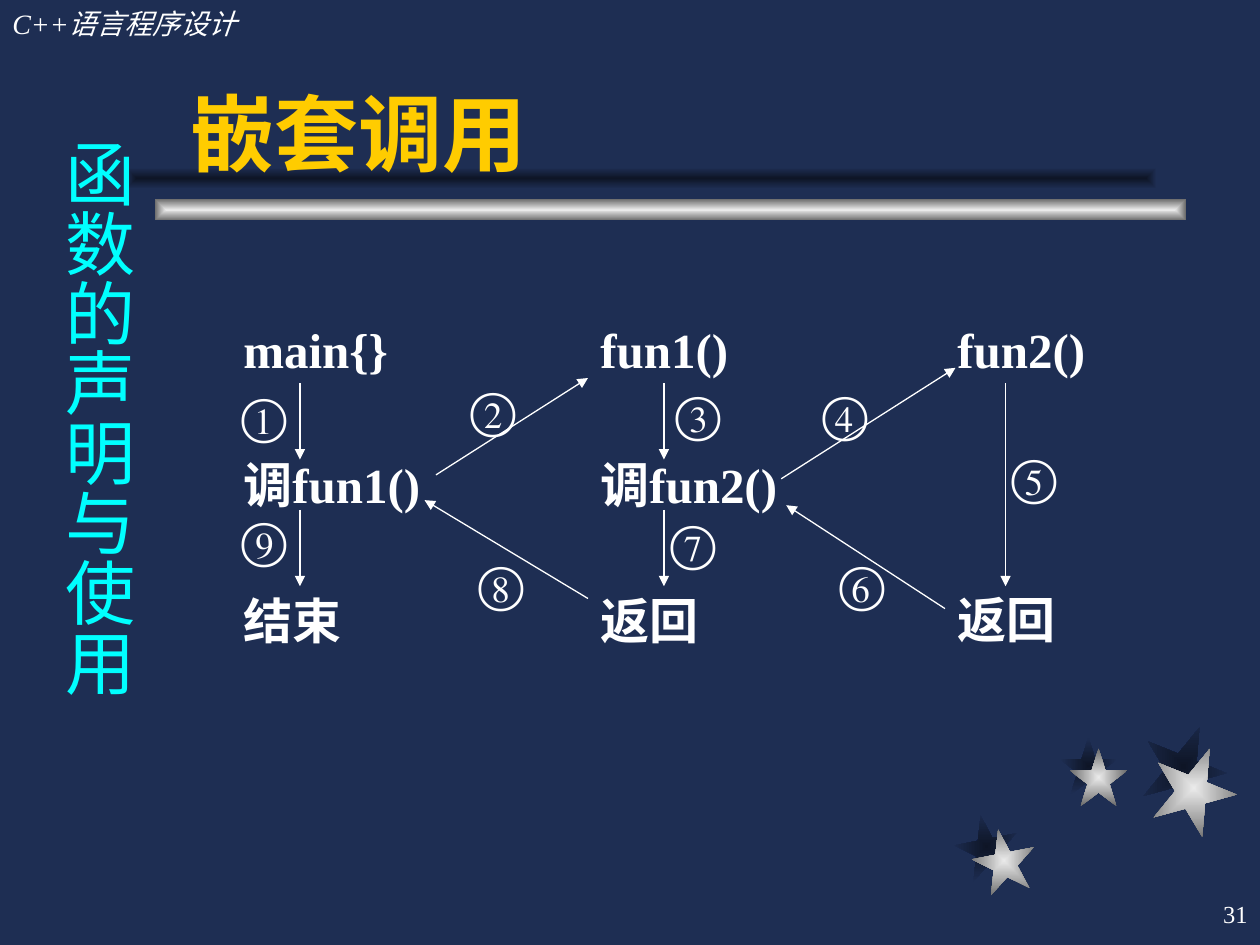
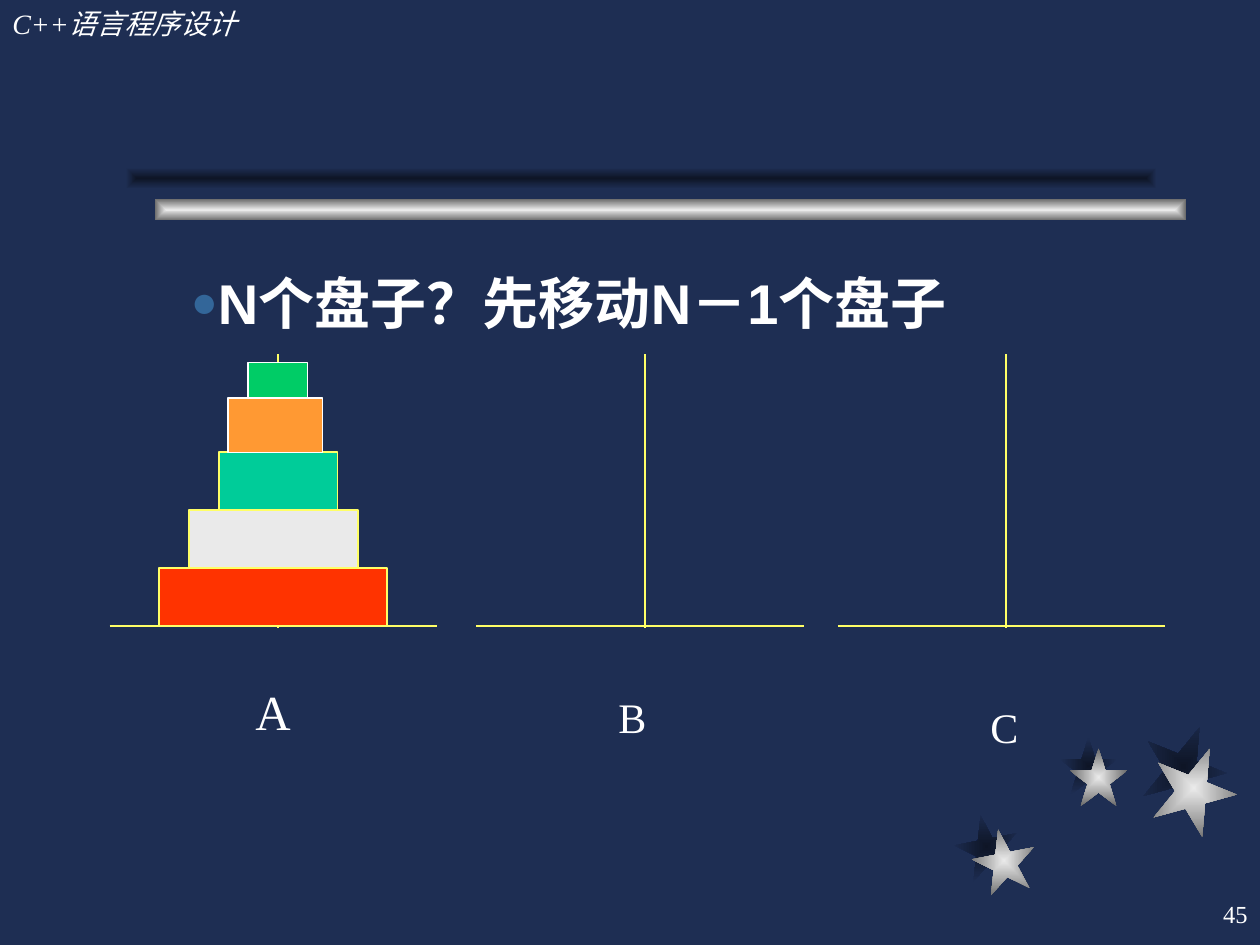
import pptx
import pptx.util
import pptx.dml.color
import pptx.enum.shapes
import pptx.enum.text
import pptx.oxml
import pptx.oxml.ns
import pptx.oxml.xmlchemy

Pt = pptx.util.Pt
RGB = pptx.dml.color.RGBColor
SHAPE = pptx.enum.shapes.MSO_SHAPE
LINK = pptx.enum.shapes.MSO_CONNECTOR
ANCHOR = pptx.enum.text.MSO_ANCHOR
ALIGN = pptx.enum.text.PP_ALIGN
qn = pptx.oxml.ns.qn

NAVY = RGB(0x1E, 0x2E, 0x53)
DARK = RGB(0x0E, 0x15, 0x26)
SILVER = RGB(0xEA, 0xEA, 0xEA)
GREY = RGB(0x6C, 0x6C, 0x6C)
WHITE = RGB(0xFF, 0xFF, 0xFF)
GOLD = RGB(0xFF, 0xCC, 0x00)
CYAN = RGB(0x00, 0xFF, 0xFF)
YELLOW = RGB(0xFF, 0xFF, 0x66)
RED = RGB(0xFF, 0x33, 0x00)
TEAL = RGB(0x00, 0xCC, 0x99)
ORANGE = RGB(0xFF, 0x99, 0x33)
GREEN = RGB(0x00, 0xCC, 0x66)

SHADE = (DARK, NAVY)
METAL = (SILVER, GREY)
SERIF, SANS = "Times New Roman", "Arial"
INSET = (7.2, 3.6, 7.2, 3.6)
SIDES = ("margin_left", "margin_top", "margin_right", "margin_bottom")
STEP = 38.6  # line pitch of the call chart


def put(target, values):
    for name, value in values.items():
        setattr(target, name, value)


def node(tag, **values):
    item = pptx.oxml.xmlchemy.OxmlElement(tag)
    for name, value in values.items():
        item.set(name, str(value))
    return item


class Deck:
    """Holds the shared style and the slide being filled."""

    def __init__(self):
        self.file = pptx.Presentation()
        put(self.file, {"slide_width": Pt(720), "slide_height": Pt(540)})
        self.slide = None

    def start(self, number):
        """Adds a slide with its stars, bars, course name and number."""
        self.slide = self.file.slides.add_slide(self.file.slide_layouts[6])
        fill = self.slide.background.fill
        fill.solid()
        fill.fore_color.rgb = NAVY
        stars = [(SHADE, 545.8, 465.8, 36, -11), (SHADE, 605.5, 421.2, 33, 0),
                 (SHADE, 652.3, 414, 48.2, 22), (METAL, 555.8, 473.8, 36, -11),
                 (METAL, 611.3, 427.7, 33, 0), (METAL, 658.1, 426.2, 48.2, 22)]
        for tones, left, top, size, turn in stars:
            star = self.shape(SHAPE.STAR_5_POINT, (left, top, size, size))
            star.rotation = turn
            self.glow(star, tones)
        for tones, left, top in [(METAL, 88.6, 113.8), (SHADE, 72, 95.8)]:
            self.glow(self.shape(SHAPE.RECTANGLE, (left, top, 589, 12.2)), tones)
        self.text((0, 0, 222, 27), "C++语言程序设计", 16, italic=True)
        self.text((570, 504, 150, 36), str(number), 14,
                  align=ALIGN.RIGHT, anchor=ANCHOR.MIDDLE)

    def shape(self, kind, box):
        item = self.slide.shapes.add_shape(kind, *map(Pt, box))
        item.shadow.inherit = False
        item.line.fill.background()
        return item

    def glow(self, item, tones):
        """Fills a shape from its centre out with two colours."""
        item.fill.gradient()
        for stop, tone in zip(item.fill.gradient_stops, tones):
            stop.color.rgb = tone
        grad = item.element.spPr.find(qn("a:gradFill"))
        route = node("a:path", path="rect")
        route.append(node("a:fillToRect", l=50000, t=50000, r=50000, b=50000))
        grad.replace(grad.find(qn("a:lin")), route)

    def block(self, box, fill, edge, weight):
        item = self.shape(SHAPE.RECTANGLE, box)
        item.fill.solid()
        item.fill.fore_color.rgb = fill
        item.line.color.rgb = edge
        item.line.width = Pt(weight)

    def line(self, ends, color, weight, arrow=False):
        item = self.slide.shapes.add_connector(LINK.STRAIGHT, *map(Pt, ends))
        item.line.color.rgb = color
        item.line.width = Pt(weight)
        item.element.spPr.append(node("a:effectLst"))
        if arrow:
            item.line._get_or_add_ln().append(node("a:tailEnd", type="triangle"))

    def text(self, box, words, size, color=WHITE, font=SERIF, align=ALIGN.LEFT,
             anchor=ANCHOR.TOP, inset=INSET, gaps=(0,), pitch=None,
             bullet=None, **look):
        """Writes one paragraph per line; gaps holds the space before each."""
        frame = self.slide.shapes.add_textbox(*map(Pt, box)).text_frame
        put(frame, {"text": words, "word_wrap": True, "vertical_anchor": anchor})
        put(frame, dict(zip(SIDES, map(Pt, inset))))
        for para, gap in zip(frame.paragraphs, gaps):
            if bullet:
                self.bullet(para, bullet)
            put(para, {"alignment": align, "space_before": Pt(gap)})
            if pitch:
                para.line_spacing = Pt(pitch)
            for run in para.runs:
                put(run.font, {"name": font, "size": Pt(size), **look})
                run.font.color.rgb = color
        return frame

    def bullet(self, para, color):
        props = para._p.get_or_add_pPr()
        put(props, {"marL": Pt(27), "indent": Pt(-27)})
        tint = node("a:buClr")
        tint.append(node("a:srgbClr", val=color))
        props.extend([tint, node("a:buSzPct", val=80000),
                      node("a:buFont", typeface=SANS),
                      node("a:buChar", char="●")])


def calls(deck):
    deck.start(31)
    deck.text((102, 18, 564, 90), "嵌套调用", 48, GOLD, SANS,
              anchor=ANCHOR.BOTTOM, bold=True)
    side = deck.text((21.6, 72, 62, 390), "函数的声明与使用", 40, CYAN,
                     inset=(3.6, 7.2, 3.6, 7.2))
    side._txBody.bodyPr.set("vert", "eaVert")

    steps = [(132, "main{}\n调fun1()\n结束", (0, STEP, STEP)),
             (336, "fun1()\n调fun2()\n返回", (0, STEP, STEP)),
             (540, "fun2()\n返回", (0, 3 * STEP))]
    for left, words, gaps in steps:
        deck.text((left, 174.2, 132, 204), words, 28, gaps=gaps, pitch=STEP,
                  bold=True)

    downs = [(x, top, x, top + 43.7) for x in (171.4, 379.4)
             for top in (218.9, 291.3)]
    downs.append((574.6, 218.9, 574.6, 335))
    slants = [(249.1, 271.4, 336, 216), (336, 342, 242.6, 285.8),
              (446.4, 273.6, 546, 210.2), (540, 347.8, 449.3, 288.7)]
    for ends in downs + slants:
        deck.line(ends, WHITE, 0.75, arrow=True)

    marks = [(138.2, 220.3), (268.6, 216.7), (385.9, 218.9), (470.2, 218.9),
             (578.2, 254.9), (479.5, 316.1), (383, 293), (273.6, 316.1),
             (138.2, 290.9)]
    for sign, (left, top) in zip("①②③④⑤⑥⑦⑧⑨", marks):
        deck.text((left, top, 24, 29), sign, 28, inset=(0, 0, 0, 0))


def tower(deck):
    deck.start(45)
    deck.text((102, 149.8, 570, 324), "N个盘子？先移动N－1个盘子", 32,
              font=SANS, bold=True, bullet=RGB(0x33, 0x66, 0x99))

    base = 357.8
    for left in (62.6, 272.2, 478.8):
        deck.line((left, base, left + 187, base), YELLOW, 1)
        post = left + 96.2
        deck.line((post, base + 0.8, post, 202.3), YELLOW, 1)

    discs = [(90.7, 130.3, 33.1, RED, YELLOW, 1),
             (108, 96.5, 33.1, SILVER, YELLOW, 1),
             (125.3, 67.7, 33.1, TEAL, YELLOW, 1),
             (130.3, 54, 31, ORANGE, WHITE, 0.75),
             (141.8, 33.8, 20.2, GREEN, WHITE, 0.75)]
    top = base
    for left, width, height, fill, edge, weight in discs:
        top -= height
        deck.block((left, top, width, height), fill, edge, weight)

    pegs = [("A", 102, 385.9, 108, 28), ("B", 334.8, 391.7, 53.3, 24),
            ("C", 549.4, 397.4, 49, 24)]
    for name, left, top, width, size in pegs:
        deck.text((left, top, width, 36), name, size, align=ALIGN.CENTER)


def main():
    deck = Deck()
    calls(deck)
    tower(deck)
    deck.file.save("out.pptx")


if __name__ == "__main__":
    main()
